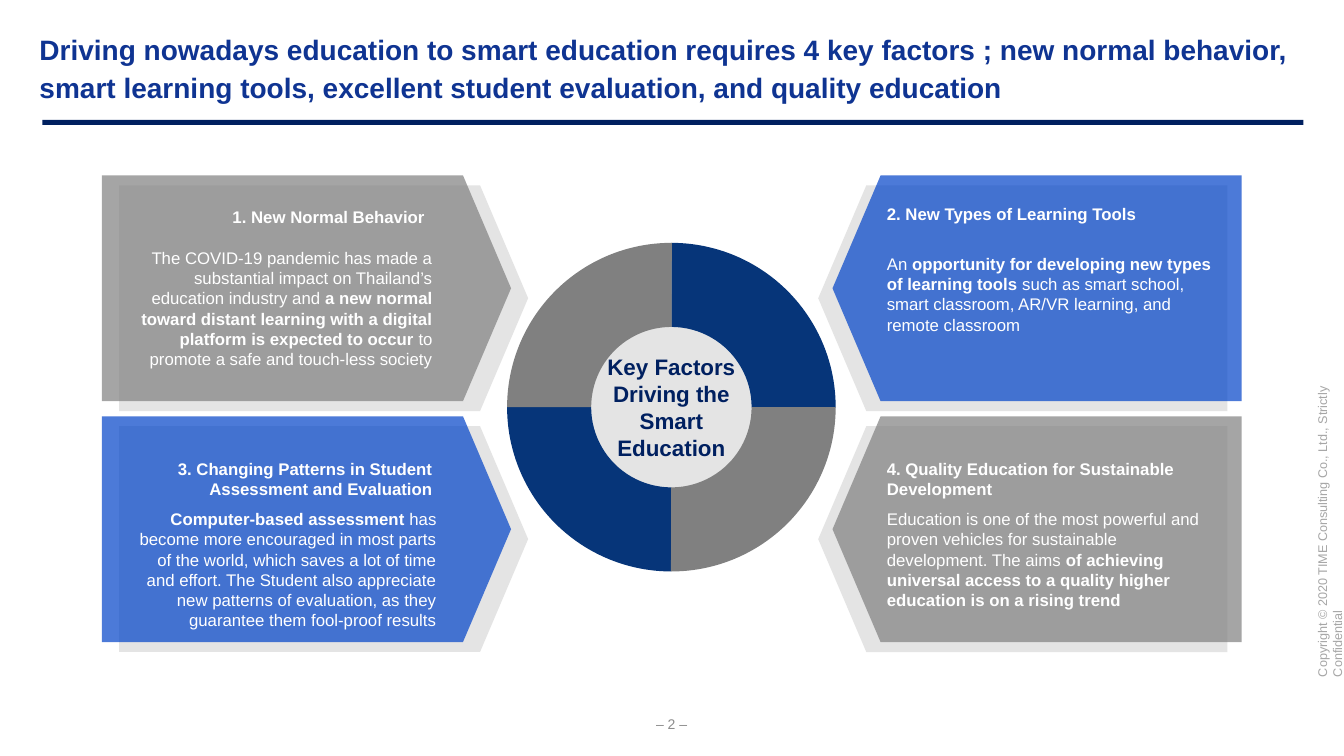
from dataclasses import dataclass
from lxml.etree import SubElement
from pptx import Presentation
from pptx.dml.color import RGBColor as Rgb
from pptx.enum.shapes import MSO_SHAPE as Kind
from pptx.enum.text import MSO_ANCHOR as Anchor, PP_ALIGN as Align
from pptx.oxml.ns import qn
from pptx.util import Cm, Pt

# Content: text is a list of (words, bold) runs
TITLE = ("Driving nowadays education to smart education requires 4 key factors ; "
         "new normal behavior, smart learning tools, excellent student evaluation, "
         "and quality education")
HUB = "Key Factors Driving the Smart Education"
PAGE = "– 2 –"
RIGHTS = "Copyright © 2020 TIME Consulting Co., Ltd., Strictly Confidential"

# Each factor: heading, its box, heading align, body runs, body box (cm)
FACTORS = [
    ("1. New Normal Behavior", (5.61, 5.08, 5.54, 0.76), Align.LEFT,
     [("The COVID-19 pandemic has made a substantial impact on Thailand’s "
       "education industry and ", False),
      ("a new normal toward distant learning with a digital platform is "
       "expected to occur ", True),
      ("to promote a safe and touch-less society", False)],
     (3.05, 6.12, 8.1, 3.33)),
    ("2. New Types of Learning Tools", (22.1, 5, 9, 0.76), Align.LEFT,
     [("An ", False),
      ("opportunity for developing new types of learning tools", True),
      (" such as smart school, smart classroom, AR/VR learning, and remote "
       "classroom", False)],
     (22.1, 6.27, 8.97, 2.31)),
    ("3. Changing Patterns in Student Assessment and Evaluation",
     (3.99, 11.43, 7.16, 1.27), Align.RIGHT,
     [("Computer-based assessment ", True),
      ("has become more encouraged in most parts of the world, which saves a "
       "lot of time and effort. The Student also appreciate new patterns of "
       "evaluation, as they guarantee them fool-proof results", False)],
     (3.15, 12.7, 8.1, 3.33)),
    ("4. Quality Education for Sustainable Development",
     (22.1, 11.43, 8.84, 1.27), Align.LEFT,
     [("Education is one of the most powerful and proven vehicles for "
       "sustainable development. The aims ", False),
      ("of achieving universal access to a quality higher education is on a "
       "rising trend", True)],
     (22.1, 12.7, 8.97, 2.82)),
]


@dataclass(frozen=True)
class Theme:
    font: str = "Arial"
    title: str = "0F3492"
    navy: str = "002060"
    ring: str = "063579"
    blue: str = "0042C8"
    gray: str = "808080"
    pale: str = "D9D9D9"
    white: str = "FFFFFF"
    page: str = "8C8C8C"
    rights: str = "A6A6A6"
    big: int = 20
    hub: int = 16
    body: int = 12
    small: int = 10
    tiny: int = 9


LOOK = Theme()
deck = Presentation()
deck.slide_width, deck.slide_height = Cm(33.87), Cm(19.05)
slide = deck.slides.add_slide(deck.slide_layouts[5])
shapes = slide.shapes


def write(shape, runs, size=LOOK.body, color=LOOK.white, bold=False,
          align=Align.LEFT, anchor=Anchor.TOP, space=None):
    frame = shape.text_frame
    frame.word_wrap = True
    frame.vertical_anchor = anchor
    para = frame.paragraphs[0]
    para.alignment, para.line_spacing = align, space
    for words, heavy in [(runs, bold)] if isinstance(runs, str) else runs:
        run = para.add_run()
        run.text = words
        font = run.font
        font.name, font.size, font.bold = LOOK.font, Pt(size), heavy
        font.color.rgb = Rgb.from_string(color)


def label(box, runs, **style):
    shape = shapes.add_textbox(*map(Cm, box))
    write(shape, runs, **style)
    return shape


def draw(kind, box, color, alpha=100, turn=0, adjust=()):
    shape = shapes.add_shape(kind, *map(Cm, box))
    shape.shadow.inherit = False
    shape.rotation = turn
    shape.line.fill.background()
    shape.fill.solid()
    shape.fill.fore_color.rgb = Rgb.from_string(color)
    for i, value in enumerate(adjust):
        shape.adjustments[i] = value
    if alpha < 100:
        tint = shape.fill._xPr.find(".//" + qn("a:srgbClr"))
        SubElement(tint, qn("a:alpha")).set("val", str(alpha * 1000))
    return shape


# Title, rule and margins
head = shapes.title
head.left, head.top, head.width, head.height = map(Cm, (0.74, 0.58, 32.39, 2.18))
write(head, TITLE, size=LOOK.big, color=LOOK.title, bold=True,
      anchor=Anchor.MIDDLE, space=1.14)
draw(Kind.RECTANGLE, (1.07, 3.02, 31.78, 0.13), LOOK.navy)
label((15.67, 17.98, 2.51, 0.53), PAGE, size=LOOK.small, color=LOOK.page,
      align=Align.CENTER, anchor=Anchor.MIDDLE)
label((28.85, 12.52, 8.94, 0.64), RIGHTS, size=LOOK.tiny,
      color=LOOK.rights).rotation = 270

# Four pointed plates, each over a pale offset plate
WIDE, HIGH, TOP, STEP, DROP = 10.31, 5.69, 4.42, 6.07, 0.25
SIDES = [(2.57, 3, 0), (20.98, 20.62, 180)]
for i in range(4):
    row, col = divmod(i, 2)
    front, back, turn = SIDES[col]
    y = TOP + row * STEP
    color = LOOK.gray if row == col else LOOK.blue
    for x, top, fill in ((back, y + DROP, LOOK.pale), (front, y, color)):
        draw(Kind.PENTAGON, (x, top, WIDE, HIGH), fill, 70, turn, (0.213,))

# Hub
MID_X, MID_Y, HUB_D, RING_D = 16.92, 10.26, 5.69, 8.28


def disc(size):
    return MID_X - size / 2, MID_Y - size / 2, size, size


write(draw(Kind.OVAL, disc(HUB_D), LOOK.pale, 70), HUB, size=LOOK.hub,
      color=LOOK.navy, bold=True, align=Align.CENTER, anchor=Anchor.MIDDLE)

# Factor texts
for i, (name, spot, align, body, box) in enumerate(FACTORS):
    label(spot, name, bold=True, align=align)
    label(box, body, align=Align.LEFT if i % 2 else Align.RIGHT)

# Ring of four quarter arcs
for turn in (90, 270, 180, 0):
    draw(Kind.BLOCK_ARC, disc(RING_D), LOOK.ring if turn % 180 else LOOK.gray,
         turn=turn, adjust=(108, 162.09, 0.256))

deck.save("out.pptx")
